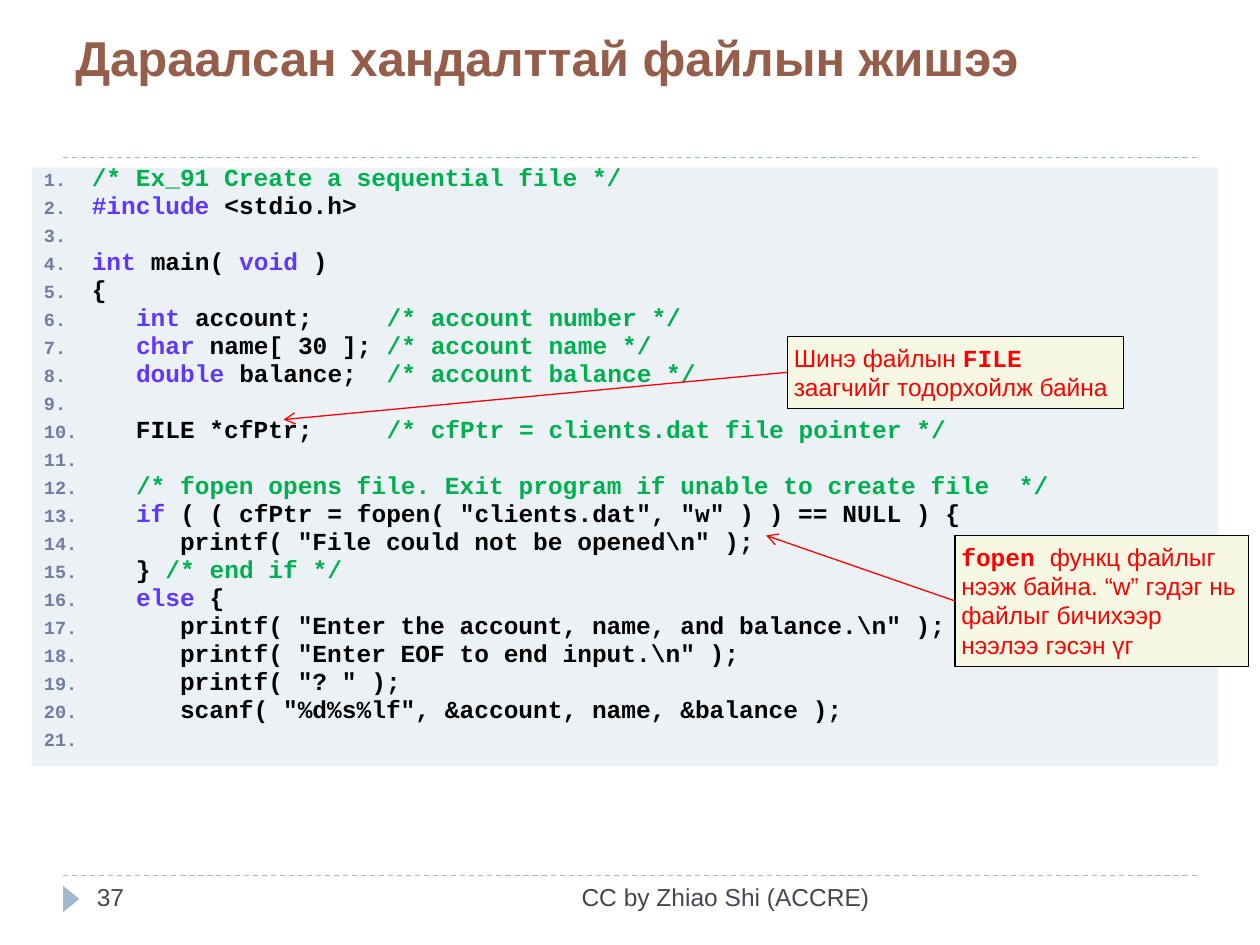
from itertools import groupby

from lxml.etree import SubElement as Sub
from pptx import Presentation
from pptx.dml.color import RGBColor
from pptx.enum.dml import MSO_LINE
from pptx.enum.shapes import MSO_CONNECTOR, MSO_SHAPE as Kind
from pptx.enum.text import MSO_ANCHOR, MSO_AUTO_SIZE, PP_ALIGN as Align
from pptx.oxml.ns import qn
from pptx.util import Inches, Pt

SANS, MONO = "Arial", "Courier New"
INK, BLUE, GREEN, RED = "000000", "5F37FF", "00B050", "FF0000"
STEEL, SLATE = "9FB8CD", "464653"
WORDS = {"#include", "int", "void", "char", "double", "if", "else"}
CODE = r'''/* Ex_91 Create a sequential file */
#include <stdio.h>

int main( void )
{
   int account;     /* account number */
   char name[ 30 ]; /* account name */
   double balance;  /* account balance */

   FILE *cfPtr;     /* cfPtr = clients.dat file pointer */

   /* fopen opens file. Exit program if unable to create file  */
   if ( ( cfPtr = fopen( "clients.dat", "w" ) ) == NULL ) {
      printf( "File could not be opened\n" );
   } /* end if */
   else {
      printf( "Enter the account, name, and balance.\n" );
      printf( "Enter EOF to end input.\n" );
      printf( "? " );
      scanf( "%d%s%lf", &account, name, &balance );
'''


def paint(target, color):
    if hasattr(target, "solid"):
        target.solid()
        target.fore_color.rgb = RGBColor.from_string(color)
    else:
        target.color.rgb = RGBColor.from_string(color)


def style(font, size, color=None, name=None, bold=False):
    font.size = Pt(size)
    font.bold = bold
    if name:
        font.name = name
    if color:
        paint(font, color)


def add_line(slide, start, end, color, dash=False, arrow=False):
    ends = [Inches(v) for v in (*start, *end)]
    link = slide.shapes.add_connector(MSO_CONNECTOR.STRAIGHT, *ends)
    paint(link.line, color)
    link.line.width = Pt(0.75)
    if dash:
        link.line.dash_style = MSO_LINE.DASH
    if arrow:
        Sub(link.line._get_or_add_ln(), qn("a:tailEnd"), type="arrow")
    Sub(link._element.spPr, qn("a:effectLst"))


def add_box(slide, kind, place, fill, line=None):
    box = slide.shapes.add_shape(kind, *[Inches(v) for v in place])
    box.shadow.inherit = False
    paint(box.fill, fill)
    if line:
        paint(box.line, line)
        box.line.width = Pt(0.75)
    else:
        box.line.fill.background()
    frame = box.text_frame
    frame.word_wrap = True
    frame.vertical_anchor = MSO_ANCHOR.TOP
    return box


def add_label(slide, place, text, size, color, bold=False, align=Align.LEFT):
    box = slide.shapes.add_textbox(*[Inches(v) for v in place])
    box.text_frame.word_wrap = True
    para = box.text_frame.paragraphs[0]
    para.text = text
    para.alignment = align
    style(para.font, size, color, SANS, bold)


def add_note(slide, place, parts, tip):
    left, top, _, high = place
    frame = add_box(slide, Kind.RECTANGLE, place, "F6F8E4", INK).text_frame
    frame.auto_size = MSO_AUTO_SIZE.SHAPE_TO_FIT_TEXT
    frame.margin_left = frame.margin_right = Inches(0.05)
    frame.margin_top = frame.margin_bottom = Inches(0.05)
    para = frame.paragraphs[0]
    para.alignment = Align.LEFT
    style(para.font, 14, RED)
    for text, code in parts:
        run = para.add_run()
        run.text = text
        run.font.name = MONO if code else SANS
        run.font.bold = code
    add_line(slide, (left, top + high / 2), tip, RED, arrow=True)


def split_code(row):
    code, mark, rest = row.partition("/*")
    words = code.split(" ")
    parts = [word + " " for word in words[:-1]] + words[-1:]
    for key, group in groupby(parts, lambda part: part.strip() in WORDS):
        yield "".join(group), BLUE if key else INK
    if mark:
        yield mark + rest, GREEN


def number(para):
    props = para._p.get_or_add_pPr()
    props.set("marL", str(Inches(0.38)))
    props.set("indent", str(-Inches(0.38)))
    Sub(Sub(props, qn("a:buClr")), qn("a:srgbClr"), val="727CA3")
    Sub(props, qn("a:buSzPct"), val="76000")
    Sub(props, qn("a:buAutoNum"), type="arabicPeriod")


def add_code(slide, place):
    frame = add_box(slide, Kind.RECTANGLE, place, "ECF1F5").text_frame
    for i, row in enumerate(CODE.split("\n")):
        para = frame.add_paragraph() if i else frame.paragraphs[0]
        para.alignment = Align.LEFT
        para.line_spacing = Pt(10)
        para.space_before = Pt(6 if i else 0)
        number(para)
        style(para.font, 14, name=MONO, bold=True)
        for text, color in split_code(row or " "):
            if text:
                run = para.add_run()
                run.text = text
                paint(run.font, color)


def paint_font(font, color):
    font.color.rgb = RGBColor.from_string(color)


def main():
    deck = Presentation()
    deck.slide_width, deck.slide_height = Inches(10), Inches(7.5)
    slide = deck.slides.add_slide(deck.slide_layouts[6])
    for y in (6.95, 1.25):
        add_line(slide, (0.5, y), (9.5, y), STEEL, dash=True)
    mark = add_box(slide, Kind.ISOSCELES_TRIANGLE, (0.46, 7.07, 0.21, 0.13), STEEL)
    mark.rotation = 90
    add_label(slide, (0.5, 0.17, 9, 1.08), "Дараалсан хандалттай файлын жишээ",
              28, "955E4B", bold=True)
    add_label(slide, (0.67, 6.95, 2.17, 0.4), "37", 14, SLATE)
    add_code(slide, (0.25, 1.33, 9.42, 4.75))
    add_label(slide, (3.17, 6.95, 3.83, 0.4), "CC by Zhiao Shi (ACCRE)",
              14, SLATE, align=Align.RIGHT)
    add_note(slide, (6.25, 2.67, 2.67, 0.57),
             [("Шинэ файлын ", False), ("FILE ", True),
              ("заагчийг тодорхойлж байна", False)], (2.25, 3.33))
    add_note(slide, (7.58, 4.25, 2.33, 1.04),
             [("fopen ", True),
              ("функц файлыг нээж байна. “w” гэдэг нь файлыг бичихээр "
               "нээлээ гэсэн үг", False)], (6.08, 4.25))
    deck.save("out.pptx")


if __name__ == "__main__":
    main()
